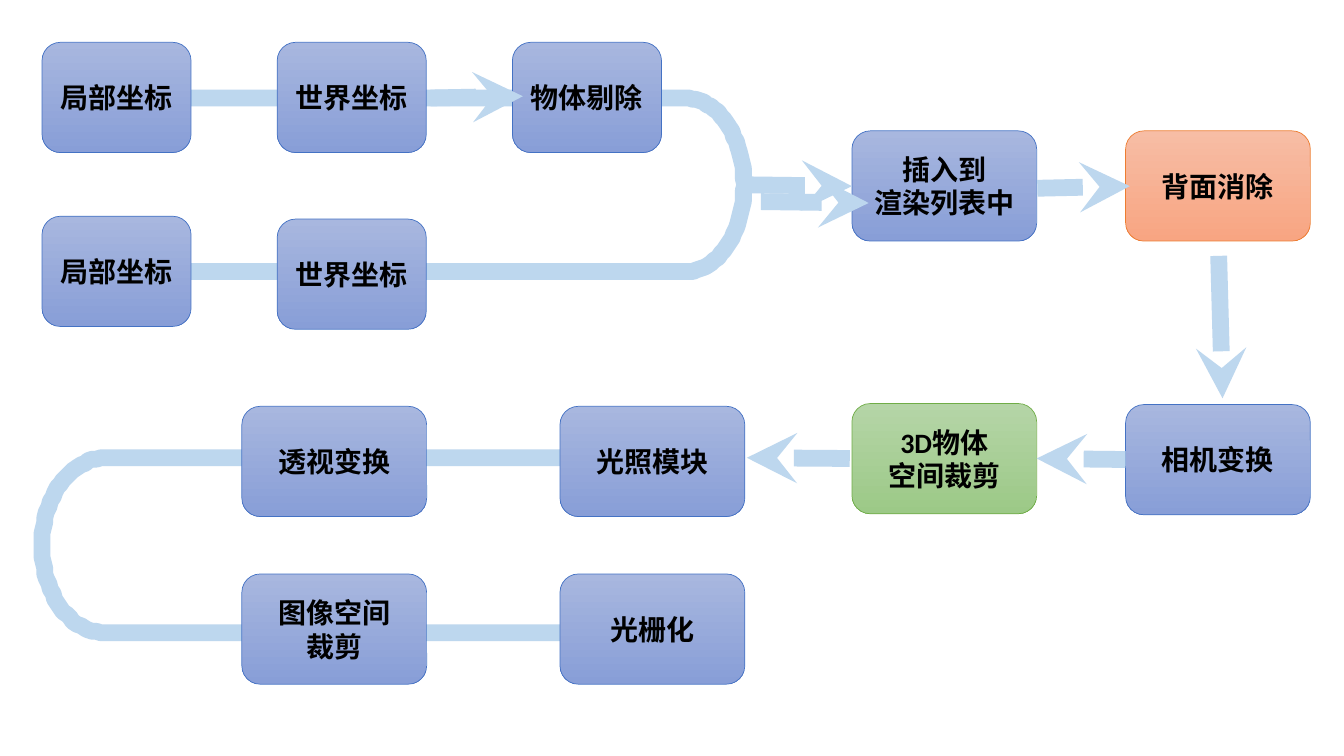
from math import cos, pi, sin

from lxml.etree import SubElement
from pptx import Presentation
from pptx.dml.color import RGBColor
from pptx.enum.shapes import MSO_CONNECTOR as CONNECTOR, MSO_SHAPE as SHAPE
from pptx.enum.text import MSO_ANCHOR as ANCHOR, PP_ALIGN as ALIGN
from pptx.oxml.ns import qn
from pptx.util import Pt

BLACK = RGBColor(0x00, 0x00, 0x00)
PALE_BLUE = RGBColor(0xBD, 0xD7, 0xEE)
BLUE = (RGBColor(0xA8, 0xB7, 0xDF), RGBColor(0x88, 0x9E, 0xD7), RGBColor(0x44, 0x72, 0xC4))
ORANGE = (RGBColor(0xF7, 0xBD, 0xA5), RGBColor(0xF8, 0xA5, 0x82), RGBColor(0xED, 0x7D, 0x31))
GREEN = (RGBColor(0xB5, 0xD5, 0xA7), RGBColor(0x9C, 0xC9, 0x87), RGBColor(0x70, 0xAD, 0x47))

FONT = "Calibri"
NARROW, WIDE, BOX_HEIGHT = 106.5, 132, 78.75
TRACK_WIDTH = 12
CURVE_STEPS = 48

BOXES = [
    (["局部坐标"], 30, 30.25, NARROW, BLUE),
    (["世界坐标"], 198, 30.25, NARROW, BLUE),
    (["物体剔除"], 366, 30.25, NARROW, BLUE),
    (["局部坐标"], 30, 154.5, NARROW, BLUE),
    (["世界坐标"], 198, 156.5, NARROW, BLUE),
    (["插入到", "渲染列表中"], 608.5, 93.5, WIDE, BLUE),
    (["背面消除"], 804, 93.5, WIDE, ORANGE),
    (["相机变换"], 804, 289, WIDE, BLUE),
    (["3D物体", "空间裁剪"], 608.5, 288.25, WIDE, GREEN),
    (["光照模块"], 400, 290.25, WIDE, BLUE),
    (["透视变换"], 172.75, 290.25, WIDE, BLUE),
    (["图像空间", "裁剪"], 172.75, 410, WIDE, BLUE),
    (["光栅化"], 400, 410, WIDE, BLUE),
]

TRACKS = [
    (73.5, 489, 531.5, 70, 194.25),
    (511, 75, 30, 327.25, 452),
]

ARROWS = [
    (531.5, 132, 608.5, 133),
    (870.5, 182.75, 873.25, 284.5),
    (741, 134.5, 807, 133),
    (804, 328.25, 740.5, 327.5),
    (607, 327.5, 533.5, 327),
    (307.5, 70, 373.5, 68.75),
    (543.5, 144, 620.5, 145),
]


def style_track(shape):
    shape.line.color.rgb = PALE_BLUE
    shape.line.width = Pt(TRACK_WIDTH)


def add_track(s, start, bend, tip, top, bottom):
    middle, radius = (top + bottom) / 2, (bottom - top) / 2
    angles = [pi * i / CURVE_STEPS for i in range(CURVE_STEPS + 1)]
    curve = [(bend + (tip - bend) * sin(a), middle - radius * cos(a)) for a in angles]
    builder = s.shapes.build_freeform(start, top, scale=Pt(1))
    builder.add_line_segments(curve + [(start, bottom)], close=False)
    track = builder.convert_to_shape()
    track.shadow.inherit = False
    track.fill.background()
    style_track(track)


def add_box(s, lines, left, top, width, colors):
    light, dark, border = colors
    box = s.shapes.add_shape(SHAPE.ROUNDED_RECTANGLE, Pt(left), Pt(top), Pt(width), Pt(BOX_HEIGHT))
    box.shadow.inherit = False
    box.fill.gradient()
    box.fill.gradient_angle = 270
    for stop, color, position in zip(box.fill.gradient_stops, (light, dark), (0, 1)):
        stop.color.rgb = color
        stop.position = position
    box.line.color.rgb = border
    box.line.width = Pt(0.5)
    tf = box.text_frame
    tf.word_wrap = True
    tf.vertical_anchor = ANCHOR.MIDDLE
    for i, line in enumerate(lines):
        p = tf.add_paragraph() if i else tf.paragraphs[0]
        p.alignment = ALIGN.CENTER
        r = p.add_run()
        r.text = line
        r.font.name = FONT
        r.font.size = Pt(20)
        r.font.bold = True
        r.font.color.rgb = BLACK


def add_arrow(s, *ends):
    arrow = s.shapes.add_connector(CONNECTOR.STRAIGHT, *(Pt(v) for v in ends))
    style_track(arrow)
    SubElement(arrow.line._get_or_add_ln(), qn("a:tailEnd"), type="stealth")
    SubElement(arrow._element.spPr, qn("a:effectLst"))


def main():
    prs = Presentation()
    prs.slide_width, prs.slide_height = Pt(960), Pt(540)
    s = prs.slides.add_slide(prs.slide_layouts[6])
    for add, items in ((add_track, TRACKS), (add_box, BOXES), (add_arrow, ARROWS)):
        for item in items:
            add(s, *item)
    prs.save("out.pptx")


if __name__ == "__main__":
    main()
